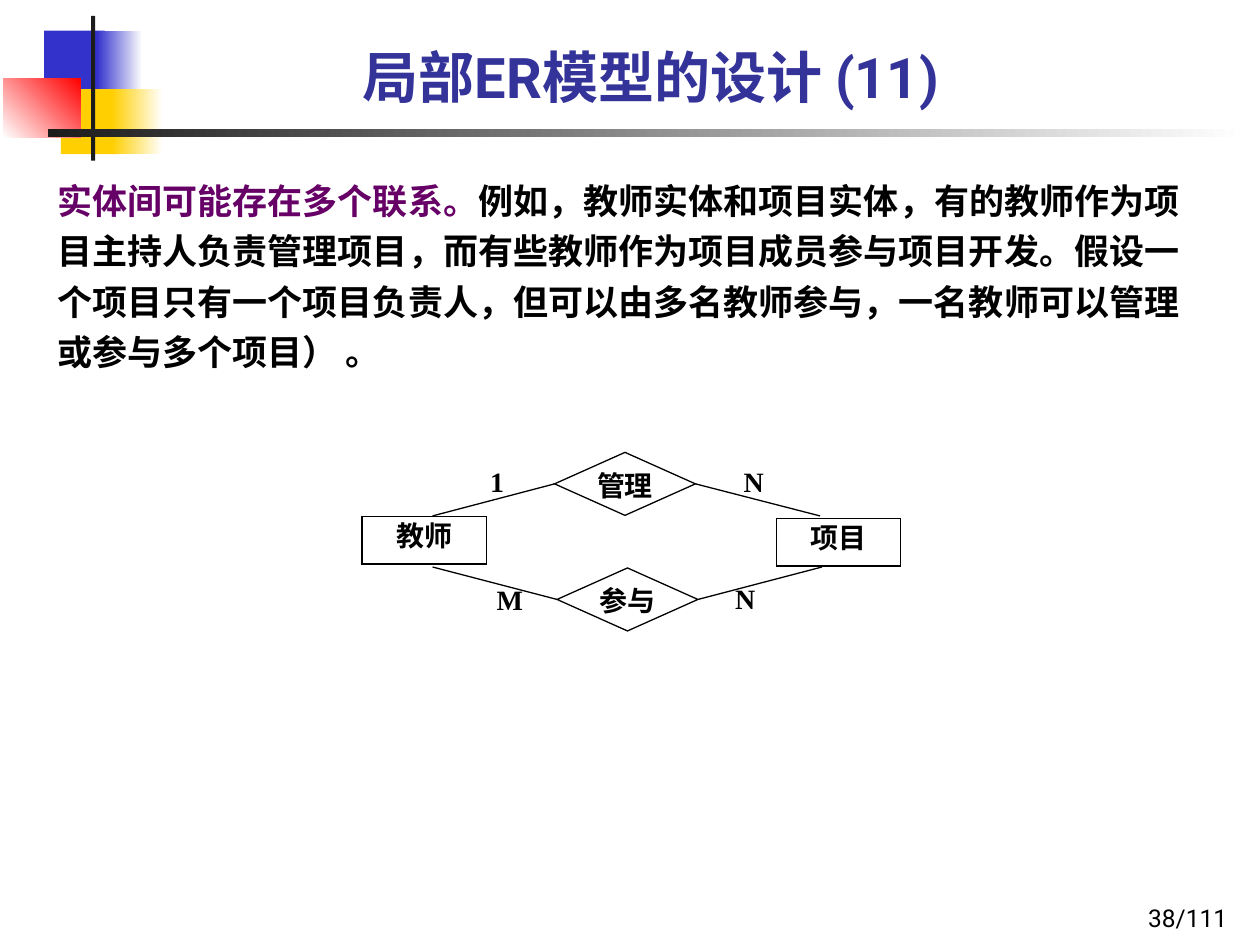
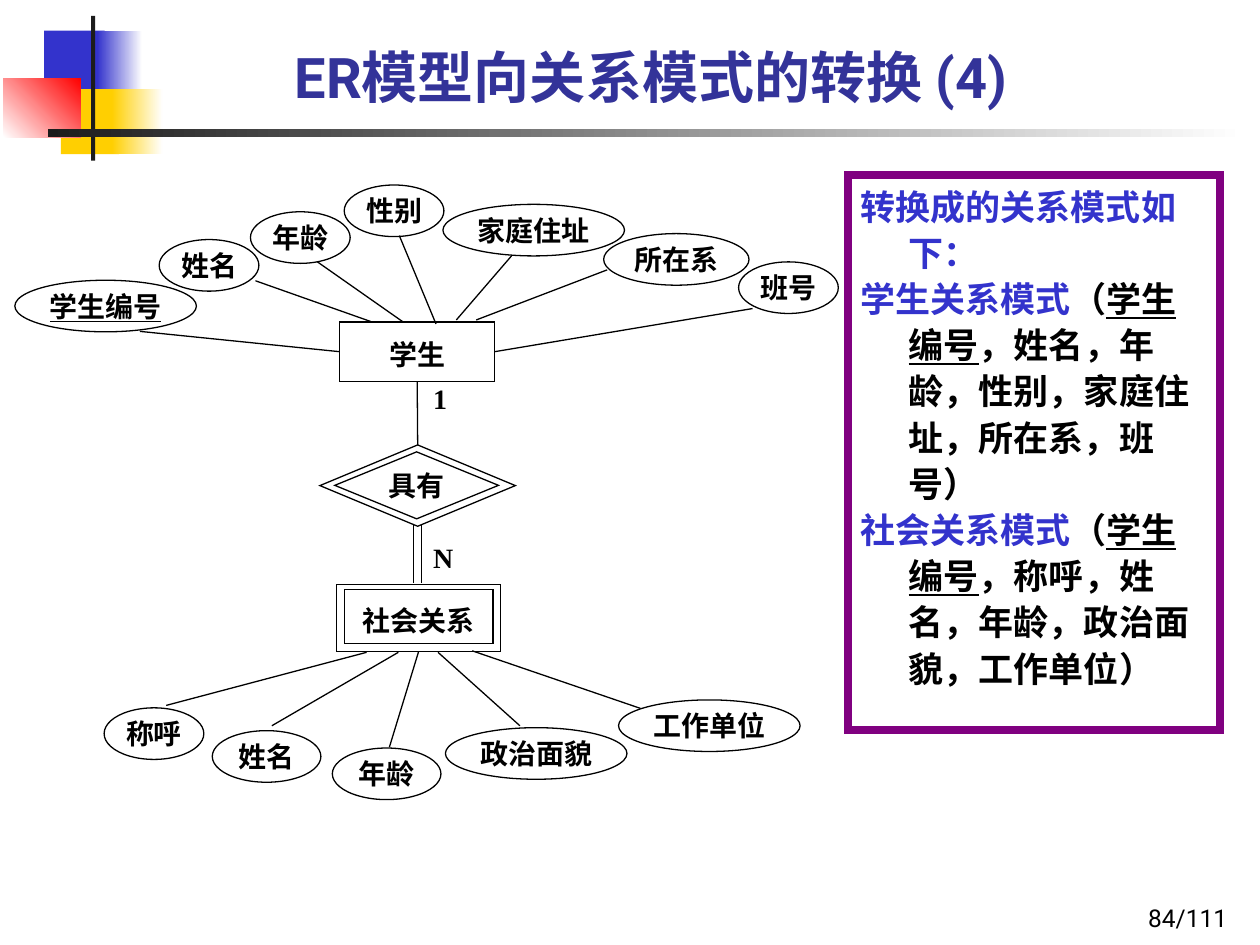
"""Build two slides on ER models and their conversion to relations."""
import dataclasses

import pptx
import pptx.dml.color
import pptx.enum.shapes
import pptx.enum.text
import pptx.oxml.ns
import pptx.util

Cm = pptx.util.Cm
Kind = pptx.enum.shapes.MSO_SHAPE
Align = pptx.enum.text.PP_ALIGN
Anchor = pptx.enum.text.MSO_ANCHOR
TOP, LEFT, BOTTOM, RIGHT = range(4)


@dataclasses.dataclass(frozen=True)
class Theme:
    """Colours, fonts and sizes shared by the slides."""
    black: str = "000000"
    white: str = "FFFFFF"
    ink: str = "1C1C1C"
    blue: str = "3333CC"
    gold: str = "FFCF01"
    red: str = "FF0000"
    navy: str = "333399"
    plum: str = "660066"
    purple: str = "800080"
    sans: str = "Roboto"
    serif: str = "Times New Roman"
    title: int = 32
    body: int = 20
    label: int = 16
    page: int = 14
    thin: float = 0.75
    thick: float = 4.5


THEME = Theme()
PAD = (0.25, 0.13, 0.25, 0.13)
BARE = (0, 0, 0, 0)


def color(code):
    """Turn a hex code into a colour."""
    return pptx.dml.color.RGBColor.from_string(code)


def write(shape, paras, size, font=THEME.sans, bold=True, align=Align.LEFT,
          anchor=Anchor.TOP, pad=PAD, lead=None, hang=0):
    """Fill a shape with paragraphs, each a list of (text, colour, underline) runs."""
    frame = shape.text_frame
    frame.word_wrap = True
    frame.vertical_anchor = anchor
    (frame.margin_left, frame.margin_top,
     frame.margin_right, frame.margin_bottom) = map(Cm, pad)
    for index, runs in enumerate(paras):
        para = frame.add_paragraph() if index else frame.paragraphs[0]
        para.alignment = align
        if lead:
            para.line_spacing = lead
        props = para._p.get_or_add_pPr()
        props.set("hangingPunct", "0")
        if hang:
            props.set("marL", str(Cm(hang)))
            props.set("indent", str(-Cm(hang)))
        para.font.size = pptx.util.Pt(size)
        para.font.name = font
        para.font.bold = bold
        tints = {tint for _, tint, _ in runs}
        if len(tints) == 1:
            para.font.color.rgb = color(runs[0][1])
        for text, tint, under in runs:
            run = para.add_run()
            run.text = text
            if len(tints) > 1:
                run.font.color.rgb = color(tint)
            if under:
                run.font.underline = True


def add_text(slide, box, paras, size, **style):
    """Add a text box."""
    shape = slide.shapes.add_textbox(*map(Cm, box))
    write(shape, paras, size, **style)
    return shape


def add_form(slide, kind, box, fill=None, line=None, width=THEME.thin):
    """Add a preset shape with sharp corners and no shadow."""
    shape = slide.shapes.add_shape(kind, *map(Cm, box))
    shape.shadow.inherit = False
    if fill:
        shape.fill.solid()
        shape.fill.fore_color.rgb = color(fill)
    else:
        shape.fill.background()
    if line:
        shape.line.color.rgb = color(line)
        shape.line.width = pptx.util.Pt(width)
        edge = shape._element.spPr.find(pptx.oxml.ns.qn("a:ln"))
        edge.append(edge.makeelement(pptx.oxml.ns.qn("a:miter"), {"lim": "800000"}))
    else:
        shape.line.fill.background()
    return shape


def add_fade(slide, box, start, end, angle=0):
    """Add a rectangle that fades from one colour to another."""
    shape = add_form(slide, Kind.RECTANGLE, box)
    shape.fill.gradient()
    shape.fill.gradient_angle = angle
    for stop, code in zip(shape.fill.gradient_stops, (start, end)):
        stop.color.rgb = color(code)


def add_node(slide, kind, box, text="", fill=None, under=False,
             anchor=Anchor.MIDDLE, pad=BARE):
    """Add an outlined part of an ER diagram."""
    shape = add_form(slide, kind, box, fill, THEME.black)
    if text:
        write(shape, [[(text, THEME.black, under)]], THEME.label, THEME.serif,
              align=Align.CENTER, anchor=anchor, pad=pad)
    return shape


def add_count(slide, box, text, anchor=Anchor.TOP):
    """Add the count beside a link."""
    add_text(slide, box, [[(text, THEME.black, False)]], THEME.label,
             font=THEME.serif, anchor=anchor, pad=BARE)


def add_link(slide, head, tail):
    """Draw a line between two ends, each a point or a (shape, side) pair."""
    ends = [(0, 0) if hasattr(end[0], "shape_id") else end for end in (head, tail)]
    link = slide.shapes.add_connector(
        pptx.enum.shapes.MSO_CONNECTOR.STRAIGHT, *map(Cm, ends[0] + ends[1]))
    for end, join in ((head, link.begin_connect), (tail, link.end_connect)):
        if hasattr(end[0], "shape_id"):
            join(*end)
    link.line.color.rgb = color(THEME.black)
    link.line.width = pptx.util.Pt(THEME.thin)
    props = link._element.spPr
    props.append(props.makeelement(pptx.oxml.ns.qn("a:effectLst"), {}))


def add_slide(deck, title, page):
    """Add a slide with its corner motif, page number and title."""
    slide = deck.slides.add_slide(deck.slide_layouts[6])
    for left, top, wide, fade, span, tint in (
            (0.89, 0.62, 1.22, 1.96, 0.91, THEME.blue),
            (1.23, 1.8, 1.17, 2.26, 1.02, THEME.gold)):
        add_form(slide, Kind.RECTANGLE, (left, top, wide, 1.31), tint)
        add_fade(slide, (fade, top, span, 1.31), tint, THEME.white)
    add_fade(slide, (0.07, 1.58, 1.56, 1.19), THEME.white, THEME.red, 45)
    add_form(slide, Kind.RECTANGLE, (1.84, 0.32, 0.08, 2.92), THEME.ink)
    add_fade(slide, (0.96, 2.6, 24.16, 0.16), THEME.ink, THEME.white)
    add_text(slide, (19.71, 17.65, 5.28, 1.27),
             [[(f"{page}/111", THEME.black, False)]], THEME.page,
             bold=False, align=Align.RIGHT, anchor=Anchor.BOTTOM)
    add_text(slide, (2.3, 0.13, 21.64, 2.21), [[(title, THEME.navy, False)]],
             THEME.title, align=Align.CENTER, anchor=Anchor.BOTTOM)
    return slide


def build_local(deck):
    """Build the slide on several links between two entities."""
    slide = add_slide(deck, "局部ER模型的设计 (11)", 38)
    add_text(slide, (0.91, 3.32, 23.6, 4.6), [[
        ("实体间可能存在多个联系。", THEME.plum, False),
        ("例如，教师实体和项目实体，有的教师作为项目主持人负责管理项目，"
         "而有些教师作为项目成员参与项目开发。假设一个项目只有一个项目负责人，"
         "但可以由多名教师参与，一名教师可以管理或参与多个项目） 。",
         THEME.black, False)]], THEME.body, lead=1.2)
    for left, top, text in ((15.65, 10.46, "项目"), (7.3, 10.42, "教师")):
        add_node(slide, Kind.RECTANGLE, (left, top, 2.51, 0.95), text,
                 anchor=Anchor.TOP, pad=(0, 0.03, 0, 0))
    for left, top, text, level, far in ((11.18, 9.12, "管理", 10.4, 16.53),
                                        (11.23, 11.45, "参与", 11.43, 16.57)):
        verb = add_node(slide, Kind.DIAMOND, (left, top, 2.84, 1.27), text,
                        THEME.white, anchor=Anchor.TOP)
        add_link(slide, (8.72, level), (verb, LEFT))
        add_link(slide, (verb, RIGHT), (far, level))
    for left, top, text in ((9.88, 9.37, "1"), (14.99, 9.37, "N"),
                            (10.01, 11.75, "M"), (14.82, 11.73, "N")):
        add_count(slide, (left, top, 0.51, 0.86), text)


def build_switch(deck):
    """Build the slide on turning a weak entity into relations."""
    slide = add_slide(deck, "ER模型向关系模式的转换 (4)", 84)
    for top, text in ((7.67, "1"), (10.88, "N")):
        add_count(slide, (8.73, top, 0.58, 0.71), text, Anchor.MIDDLE)
    pad = (0, 0.1, 0, 0)
    pupil = add_node(slide, Kind.RECTANGLE, (6.85, 6.49, 3.12, 1.2), "学生",
                     THEME.white, pad=pad)
    add_node(slide, Kind.DIAMOND, (6.75, 9.11, 3.3, 1.35), "具有", THEME.white)
    verb = add_node(slide, Kind.DIAMOND, (6.45, 8.97, 3.94, 1.64))
    kin = add_node(slide, Kind.RECTANGLE, (6.79, 11.78, 3.3, 1.35), "社会关系",
                   pad=pad)
    add_node(slide, Kind.RECTANGLE, (6.94, 11.89, 3, 1.09))
    add_link(slide, (pupil, BOTTOM), (verb, TOP))
    for across in (8.34, 8.49):
        add_link(slide, (across, 10.57), (across, 11.76))

    traits = (
        ("班号", 14.89, 5.28, 2.01, (15.17, 6.22), (pupil, RIGHT)),
        ("姓名", 3.21, 4.83, 2.01, (5.15, 5.66), (7.47, 6.48)),
        ("所在系", 12.17, 4.71, 2.93, (12.24, 5.44), (9.6, 6.45)),
        ("学生编号", 0.3, 5.65, 3.66, (2.82, 6.68), (pupil, LEFT)),
        ("年龄", 5.05, 4.27, 2.01, (6.4, 5.28), (8.14, 6.5)),
        ("性别", 6.94, 3.73, 2.01, (8.05, 4.75), (8.79, 6.53)),
        ("家庭住址", 8.93, 4.12, 3.66, (10.31, 5.16), (9.2, 6.45)),
        ("姓名", 4.28, 14.73, 2.19, (5.48, 14.63), (8.03, 13.15)),
        ("年龄", 6.7, 15.08, 2.19, (7.85, 15.06), (kin, BOTTOM)),
        ("称呼", 2.1, 14.27, 2.01, (3.35, 14.22), (7.39, 13.15)),
        ("政治面貌", 8.98, 14.67, 3.66, (10.48, 14.63), (8.83, 13.15)),
        ("工作单位", 12.47, 14.11, 3.66, (12.91, 14.28), (9.52, 13.12)),
    )
    key = "学生编号"
    for text, left, top, width, near, far in traits:
        add_node(slide, Kind.OVAL, (left, top, width, 1.04), text,
                 under=text == key)
        add_link(slide, near, far)

    paras = [[("转换成的关系模式如下：", THEME.blue, False)]]
    for name, rest in (("学生关系模式", "，姓名，年龄，性别，家庭住址，所在系，班号）"),
                       ("社会关系模式", "，称呼，姓名，年龄，政治面貌，工作单位）")):
        paras.append([(name, THEME.blue, False), ("（", THEME.black, False),
                      (key, THEME.black, True), (rest, THEME.black, False)])
    panel = add_form(slide, Kind.RECTANGLE, (17.1, 3.52, 7.49, 11.2),
                     line=THEME.purple, width=THEME.thick)
    write(panel, paras, THEME.body, lead=1.1, hang=0.97)


def main():
    """Build and save the deck."""
    deck = pptx.Presentation()
    deck.slide_width, deck.slide_height = Cm(25.4), Cm(19.05)
    build_local(deck)
    build_switch(deck)
    deck.save("out.pptx")


if __name__ == "__main__":
    main()
